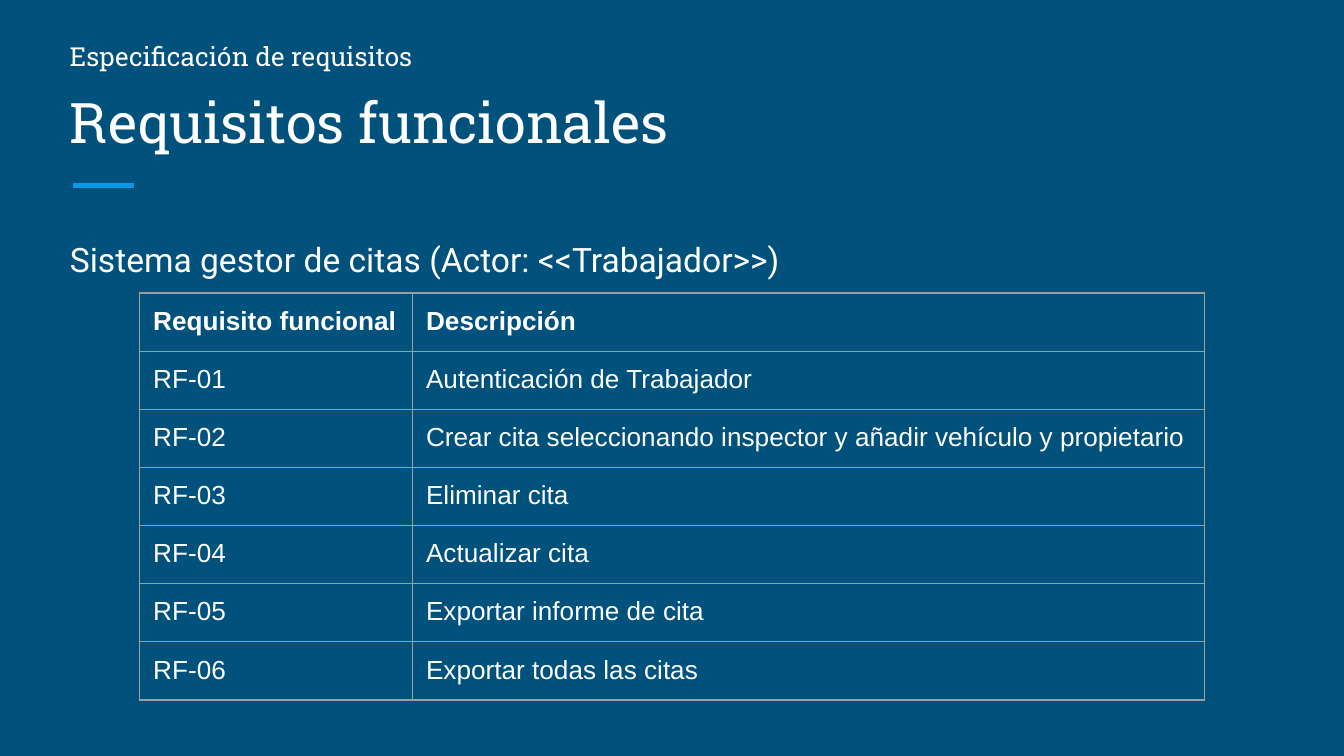
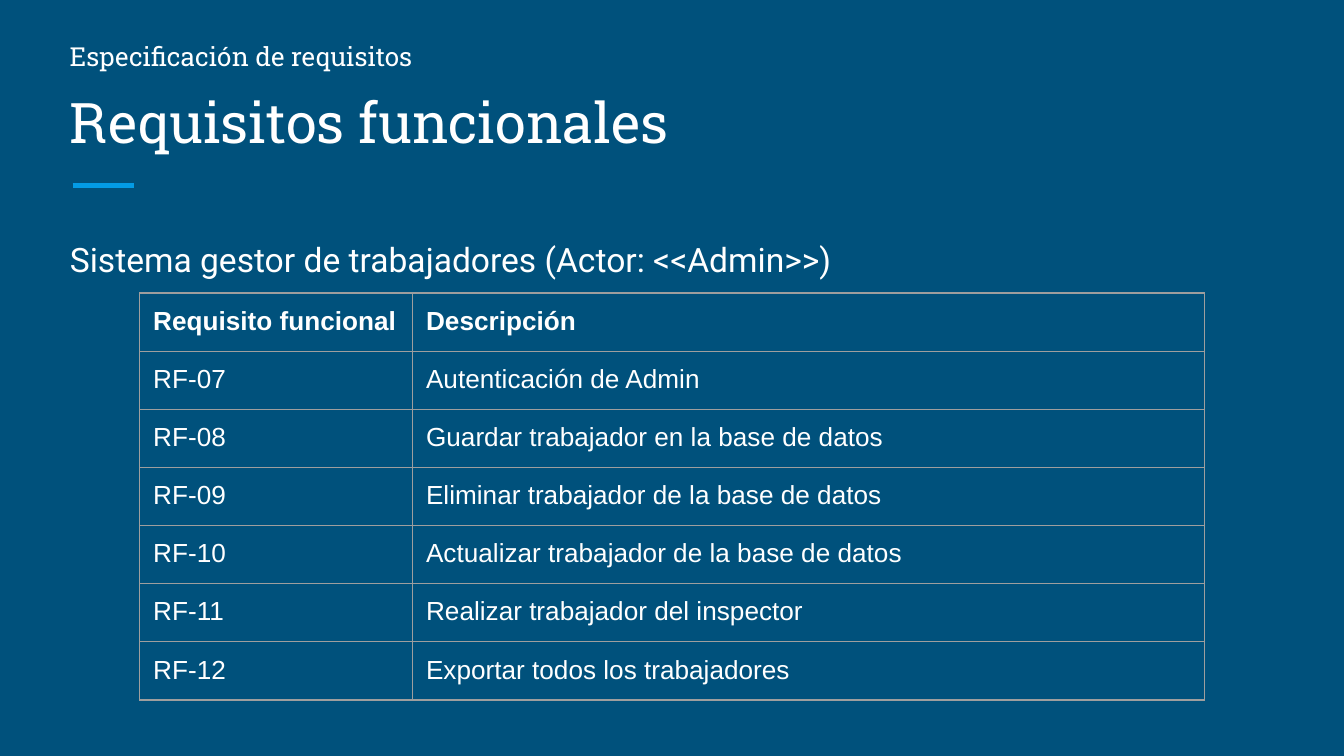
import pptx
import pptx.util
import pptx.dml.color
import pptx.enum.shapes
import pptx.enum.text
import pptx.oxml.ns
import lxml.etree

Inches, Pt = pptx.util.Inches, pptx.util.Pt
qn = pptx.oxml.ns.qn

# Shared look
NAVY, SKY, WHITE, GREY = "00517C", "039BE5", "FFFFFF", "9E9E9E"
TOP = pptx.enum.text.MSO_ANCHOR.TOP
BOTTOM = pptx.enum.text.MSO_ANCHOR.BOTTOM
TITLE_FONT = {"name": "Roboto Slab", "size": Pt(30)}
SECTION_FONT = {"name": "Roboto Slab", "size": Pt(14)}
BODY_FONT = {"name": "Roboto", "size": Pt(18)}
HEADER_FONT = {"name": "Arial", "size": Pt(14), "bold": True}
CELL_FONT = {**HEADER_FONT, "bold": False}
FRAME = {"word_wrap": True, "auto_size": pptx.enum.text.MSO_AUTO_SIZE.NONE}
MARGINS = {f"margin_{side}": Inches(0.1) for side in ("left", "right", "top", "bottom")}
COLUMN_WIDTHS = (2.03, 5.89)
TABLE_HEIGHT = 3.03

slides = [
    ("Sistema gestor de citas (Actor: <<Trabajador>>)", 1, [
        "Autenticación de Trabajador",
        "Crear cita seleccionando inspector y añadir vehículo y propietario",
        "Eliminar cita",
        "Actualizar cita",
        "Exportar informe de cita",
        "Exportar todas las citas",
    ]),
    ("Sistema gestor de trabajadores (Actor: <<Admin>>)", 7, [
        "Autenticación de Admin",
        "Guardar trabajador en la base de datos",
        "Eliminar trabajador de la base de datos",
        "Actualizar trabajador de la base de datos",
        "Realizar trabajador del inspector",
        "Exportar todos los trabajadores",
    ]),
]


def paint(color_format, color):
    color_format.rgb = pptx.dml.color.RGBColor.from_string(color)


def write(frame, text, font):
    para = frame.paragraphs[0]
    para.alignment = pptx.enum.text.PP_ALIGN.LEFT
    span = para.add_run()
    span.text = text
    for name, value in font.items():
        setattr(span.font, name, value)
    paint(span.font.color, WHITE)
    return para


# Widescreen deck, 16 to 9
deck = pptx.Presentation()
deck.slide_width = Inches(10)
deck.slide_height = deck.slide_width * 9 // 16
background = deck.slide_master.background.fill
background.solid()
paint(background.fore_color, NAVY)

for subtitle, first_number, descriptions in slides:
    page = deck.slides.add_slide(deck.slide_layouts[1])

    # Accent line under the title
    accent = page.shapes.add_connector(
        pptx.enum.shapes.MSO_CONNECTOR.STRAIGHT,
        Inches(0.54), Inches(1.38), Inches(1), Inches(1.38))
    paint(accent.line.color, SKY)
    accent.line.width = Pt(3)
    lxml.etree.SubElement(accent._element.spPr, qn("a:effectLst"))

    # Title, subtitle and section name
    section = page.shapes.add_textbox(0, 0, 0, 0)
    body = page.placeholders[1]
    texts = [
        (page.shapes.title, "Requisitos funcionales", TITLE_FONT, BOTTOM, (0.42, 0.5, 9.15, 0.75)),
        (body, subtitle, BODY_FONT, TOP, (0.42, 1.63, 9.15, 3.37)),
        (section, "Especificación de requisitos", SECTION_FONT, TOP, (0.42, 0.2, 4.57, 0.44)),
    ]
    for box, text, font, anchor, place in texts:
        box.left, box.top, box.width, box.height = map(Inches, place)
        for name, value in {**FRAME, **MARGINS, "vertical_anchor": anchor}.items():
            setattr(box.text_frame, name, value)
        write(box.text_frame, text, font)

    # The subtitle has no bullet
    para = body.text_frame.paragraphs[0]
    properties = para._p.get_or_add_pPr()
    properties.set("marL", "0")
    properties.set("indent", "0")
    lxml.etree.SubElement(properties, qn("a:buNone"))
    para.line_spacing = 1.15
    para.space_before, para.space_after = Pt(0), Pt(12)

    # Requirements table
    rows = [("Requisito funcional", "Descripción")]
    rows += [(f"RF-{number:02}", text) for number, text in enumerate(descriptions, first_number)]
    table = page.shapes.add_table(
        len(rows), len(COLUMN_WIDTHS), Inches(1.04), Inches(2.18),
        Inches(sum(COLUMN_WIDTHS)), Inches(TABLE_HEIGHT)).table
    table.first_row = table.horz_banding = False
    for column, width in zip(table.columns, COLUMN_WIDTHS):
        column.width = Inches(width)
    for row_index, row in enumerate(rows):
        for column_index, text in enumerate(row):
            cell = table.cell(row_index, column_index)
            for name, value in MARGINS.items():
                setattr(cell, name, value)
            write(cell.text_frame, text, CELL_FONT if row_index else HEADER_FONT)
            cell_properties = cell._tc.get_or_add_tcPr()
            for edge in ("a:lnL", "a:lnR", "a:lnT", "a:lnB"):
                border = lxml.etree.SubElement(cell_properties, qn(edge), w=str(Pt(0.75)))
                solid = lxml.etree.SubElement(border, qn("a:solidFill"))
                lxml.etree.SubElement(solid, qn("a:srgbClr"), val=GREY)
            cell.fill.background()

deck.save("out.pptx")
